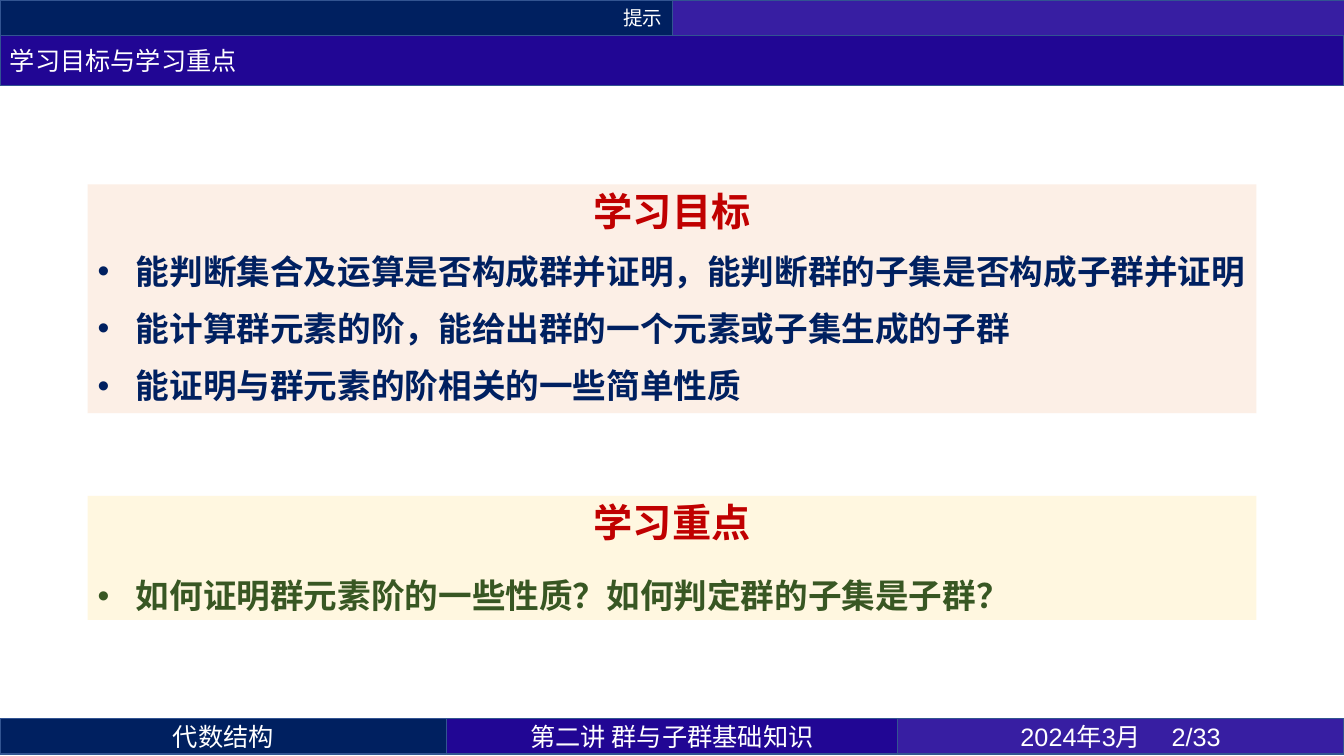
from lxml import etree
from pptx import Presentation
from pptx.dml.color import RGBColor
from pptx.enum.shapes import MSO_SHAPE
from pptx.enum.text import MSO_ANCHOR, MSO_AUTO_SIZE, PP_ALIGN as AL
from pptx.oxml.ns import qn
from pptx.util import Inches, Pt

CJK = "Noto Sans CJK SC"
NAVY, INDIGO, VIOLET = "002060", "210694", "371EA2"


def add_box(x, y, w, h, fill, line=None, alpha=None):
    sp = s.shapes.add_shape(MSO_SHAPE.RECTANGLE, Inches(x), Inches(y), Inches(w), Inches(h))
    sp.shadow.inherit = False
    sp.fill.solid()
    sp.fill.fore_color.rgb = RGBColor.from_string(fill)
    if line:
        sp.line.color.rgb = RGBColor.from_string(line)
        sp.line.width = Pt(1)
    else:
        sp.line.fill.background()
    if alpha:
        clr = sp.fill._xPr.find(qn("a:solidFill"))[0]
        etree.SubElement(clr, qn("a:alpha")).set("val", str(alpha * 1000))
    sp.text_frame.word_wrap = True
    return sp


def add_text(p, text, size=18, color="FFFFFF", font=CJK, bold=False, align=AL.CENTER,
             bullet=False, line=None, before=None, after=None):
    p.alignment = align
    p.line_spacing, p.space_before, p.space_after = line, before, after
    if bullet:
        pPr = p._p.get_or_add_pPr()
        pPr.set("marL", str(Inches(0.38)))
        pPr.set("indent", str(-Inches(0.38)))
        etree.SubElement(pPr, qn("a:buFont")).set("typeface", "Arial")
        etree.SubElement(pPr, qn("a:buChar")).set("char", "•")
    r = p.add_run()
    r.text = text
    r.font.size = Pt(size)
    r.font.bold = bold
    r.font.color.rgb = RGBColor.from_string(color)
    r.font.name = font
    etree.SubElement(r._r.get_or_add_rPr(), qn("a:ea")).set("typeface", CJK)


prs = Presentation()
prs.slide_width, prs.slide_height = Inches(13.33), Inches(7.5)
s = prs.slides.add_slide(prs.slide_layouts[6])

bars = [
    (0, 0, 6.67, 0.35, NAVY, "提示", dict(size=14, align=AL.RIGHT)),
    (6.67, 0, 6.67, 0.35, VIOLET, "", {}),
    (0, 7.13, 4.43, 0.35, NAVY, "代数结构", {}),
    (4.43, 7.13, 4.47, 0.35, INDIGO, "第二讲 群与子群基础知识", {}),
    (8.9, 7.13, 4.43, 0.35, VIOLET, "2024年3月 \t2/33", dict(font="Arial")),
    (0, 0.35, 13.33, 0.5, INDIGO, "学习目标与学习重点", dict(align=AL.LEFT)),
]
for x, y, w, h, fill, text, fmt in bars:
    tf = add_box(x, y, w, h, fill, line="325491").text_frame
    tf.vertical_anchor = MSO_ANCHOR.MIDDLE
    if text:
        add_text(tf.paragraphs[0], text, **fmt)

panels = [
    (1.83, 2.27, "FBE5D6", "学习目标", NAVY, None, 6, [
        "能判断集合及运算是否构成群并证明，能判断群的子集是否构成子群并证明",
        "能计算群元素的阶，能给出群的一个元素或子集生成的子群",
        "能证明与群元素的阶相关的一些简单性质",
    ]),
    (4.92, 1.23, "FFF2CC", "学习重点", "385723", Pt(32), 12, [
        "如何证明群元素阶的一些性质？如何判定群的子集是子群？",
    ]),
]
for y, h, fill, title, color, line, before, points in panels:
    tf = add_box(0.87, y, 11.59, h, fill, alpha=60).text_frame
    tf.vertical_anchor = MSO_ANCHOR.TOP
    tf.auto_size = MSO_AUTO_SIZE.SHAPE_TO_FIT_TEXT
    add_text(tf.paragraphs[0], title, size=28, color="C00000", bold=True,
             line=Pt(32), after=Pt(6))
    for point in points:
        add_text(tf.add_paragraph(), point, size=24, color=color, font="Arial", bold=True,
                 align=AL.LEFT, bullet=True, line=line, before=Pt(before), after=Pt(6))

prs.save("out.pptx")
